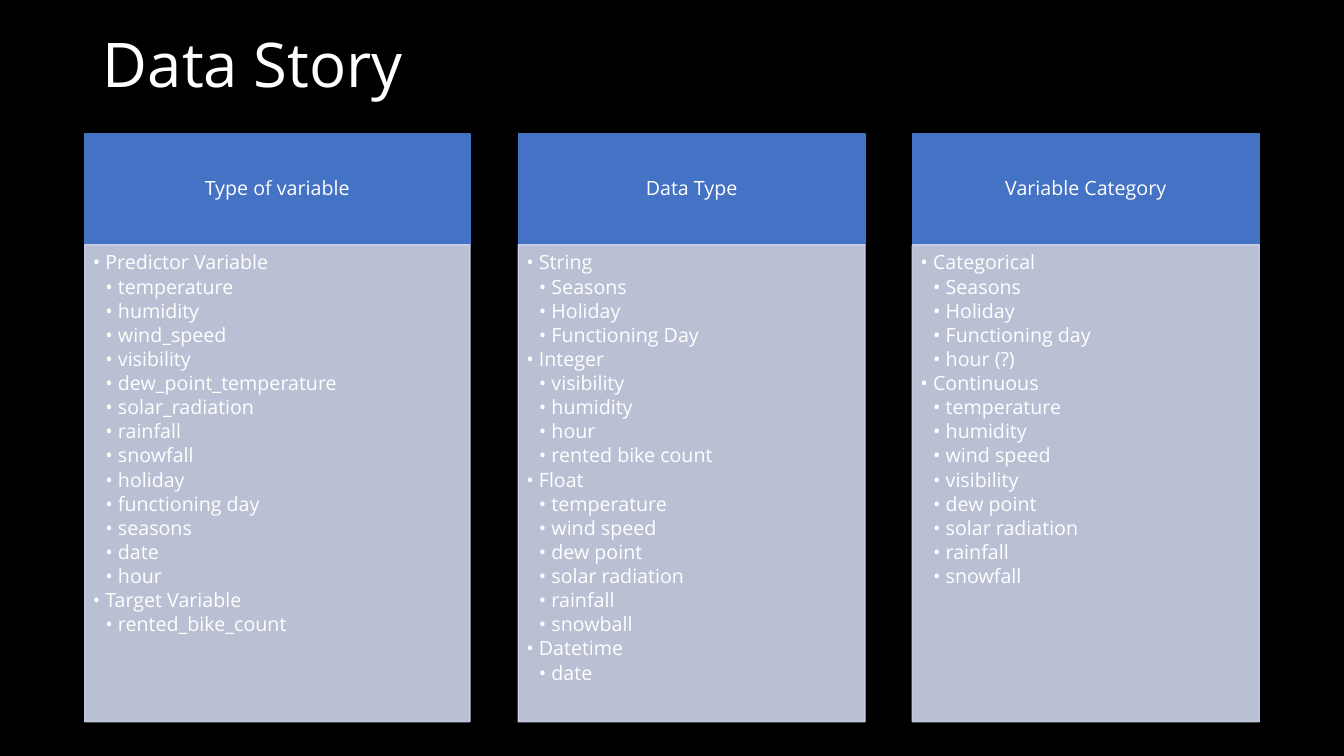
from dataclasses import dataclass

from lxml import etree
from pptx import Presentation
from pptx.dml import color
from pptx.enum import shapes, text
from pptx.oxml import ns
from pptx.util import Inches, Pt


@dataclass(frozen=True)
class Theme:
    font: str = "Open Sans"
    background: str = "000000"
    ink: str = "FFFFFF"
    header: str = "4472C4"
    panel: str = "CFD5EA"
    panel_opacity: int = 90
    title_size: int = 44
    text_size: int = 14


THEME = Theme()
HEADER_TOP, HEADER_HEIGHT = 1.33, 1.1
PANEL_TOP, PANEL_HEIGHT = HEADER_TOP + HEADER_HEIGHT, 4.73
INDENT = 0.125
ITEM_GAP = 0.15 * THEME.text_size

COLUMNS = [
    (0.84, 3.82, "Type of variable", {
        "Predictor Variable": [
            "temperature", "humidity", "wind_speed", "visibility",
            "dew_point_temperature", "solar_radiation", "rainfall", "snowfall",
            "holiday", "functioning day", "seasons", "date", "hour"],
        "Target Variable": ["rented_bike_count"],
    }),
    (5.14, 3.44, "Data Type", {
        "String": ["Seasons", "Holiday", "Functioning Day"],
        "Integer": ["visibility", "humidity", "hour", "rented bike count"],
        "Float": ["temperature", "wind speed", "dew point",
                  "solar radiation", "rainfall", "snowball"],
        "Datetime": ["date"],
    }),
    (9.05, 3.44, "Variable Category", {
        "Categorical": ["Seasons", "Holiday", "Functioning day", "hour (?)"],
        "Continuous": ["temperature", "humidity", "wind speed", "visibility",
                       "dew point", "solar radiation", "rainfall", "snowfall"],
    }),
]


def rgb(value):
    return color.RGBColor.from_string(value)


def place(sp, left, top, width, height):
    sp.left, sp.top = Inches(left), Inches(top)
    sp.width, sp.height = Inches(width), Inches(height)


def write(p, words, size=THEME.text_size, align=text.PP_ALIGN.LEFT, gap=0):
    p.alignment = align
    p.line_spacing = 0.9
    p.space_before = Pt(0)
    p.space_after = Pt(gap)
    r = p.add_run()
    r.text = words
    r.font.name = THEME.font
    r.font.size = Pt(size)
    r.font.color.rgb = rgb(THEME.ink)


def add_bullet(p, level):
    p.level = level
    pPr = p._p.get_or_add_pPr()
    pPr.set("marL", str(Inches(INDENT * level)))
    pPr.set("indent", str(-Inches(INDENT)))
    etree.SubElement(pPr, ns.qn("a:buFont")).set("typeface", THEME.font)
    etree.SubElement(pPr, ns.qn("a:buChar")).set("char", "•")


def set_frame(tf, anchor, insets):
    tf.word_wrap = True
    tf.auto_size = text.MSO_AUTO_SIZE.NONE
    tf.vertical_anchor = anchor
    tf.margin_left, tf.margin_top, tf.margin_right, tf.margin_bottom = map(Inches, insets)


def add_box(slide, bounds, fill, opacity=100):
    sp = slide.shapes.add_shape(shapes.MSO_SHAPE.RECTANGLE, *map(Inches, bounds))
    sp.shadow.inherit = False
    sp.line.width = Pt(1)
    for paint in (sp.fill, sp.line.fill):
        paint.solid()
        paint.fore_color.rgb = rgb(fill)
    if opacity < 100:
        for clr in sp._element.spPr.iter(ns.qn("a:srgbClr")):
            etree.SubElement(clr, ns.qn("a:alpha")).set("val", str(opacity * 1000))
    return sp


def add_title(slide, words):
    sp = slide.shapes.title
    place(sp, 0.92, 0.29, 10, 1.38)
    set_frame(sp.text_frame, text.MSO_ANCHOR.TOP, (0.1, 0.05, 0.1, 0.05))
    write(sp.text_frame.paragraphs[0], words, size=THEME.title_size)


def add_header(slide, left, width, words):
    sp = add_box(slide, (left, HEADER_TOP, width, HEADER_HEIGHT), THEME.header)
    set_frame(sp.text_frame, text.MSO_ANCHOR.MIDDLE, (0.11, 0.06, 0.11, 0.06))
    write(sp.text_frame.paragraphs[0], words, align=text.PP_ALIGN.CENTER)


def add_panel(slide, left, width, groups):
    sp = add_box(slide, (left, PANEL_TOP, width, PANEL_HEIGHT),
                 THEME.panel, THEME.panel_opacity)
    tf = sp.text_frame
    set_frame(tf, text.MSO_ANCHOR.TOP, (0.08, 0.08, 0.11, 0.12))
    items = [item for group, members in groups.items()
             for item in [(group, 1), *((member, 2) for member in members)]]
    for i, (words, level) in enumerate(items):
        p = tf.add_paragraph() if i else tf.paragraphs[0]
        write(p, words, gap=ITEM_GAP)
        add_bullet(p, level)


def main():
    prs = Presentation()
    prs.slide_width, prs.slide_height = Inches(13.33), Inches(7.5)
    slide = prs.slides.add_slide(prs.slide_layouts.get_by_name("Title Only"))
    slide.background.fill.solid()
    slide.background.fill.fore_color.rgb = rgb(THEME.background)
    add_title(slide, "Data Story")
    for left, width, heading, groups in COLUMNS:
        add_header(slide, left, width, heading)
        add_panel(slide, left, width, groups)
    prs.save("out.pptx")


main()
